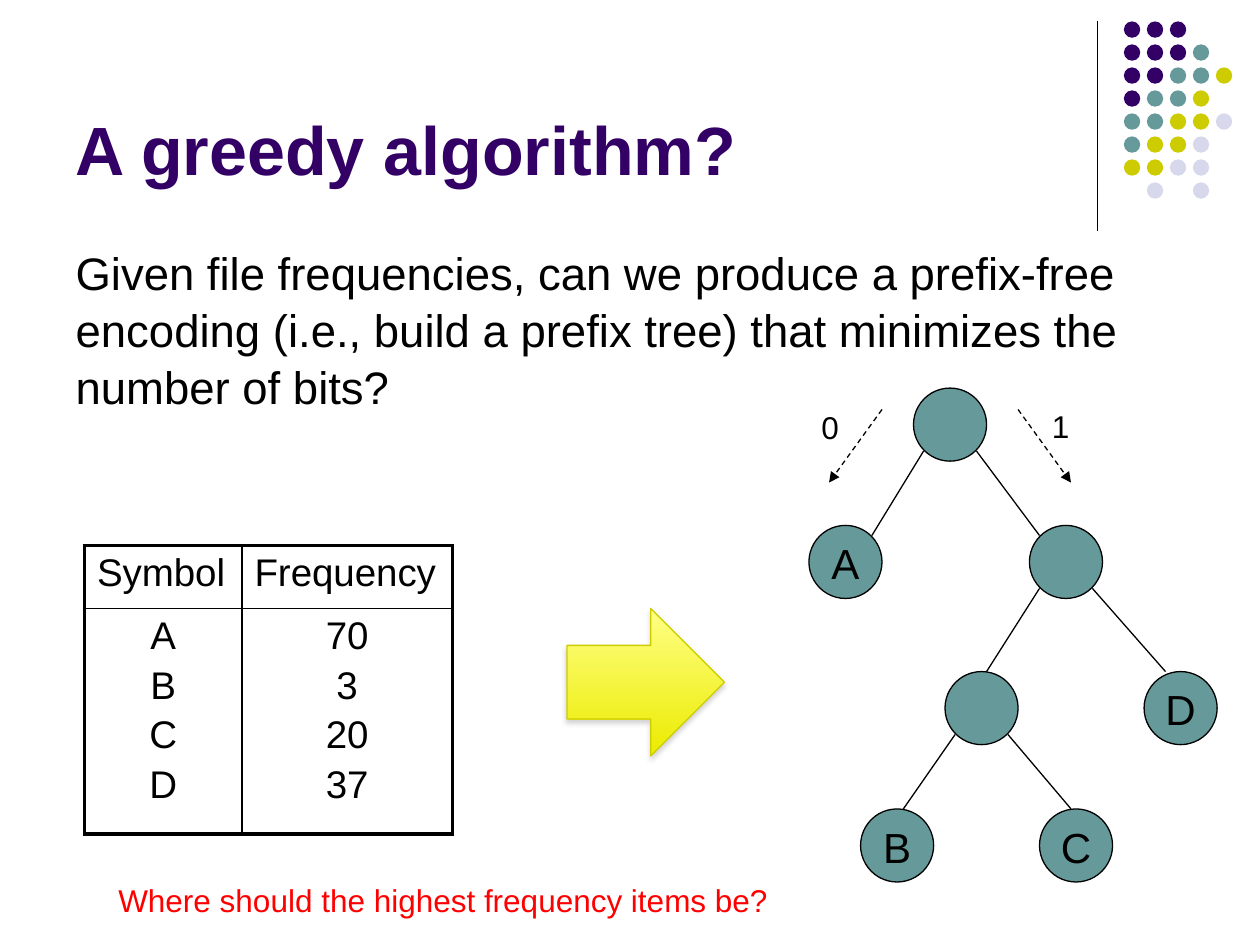
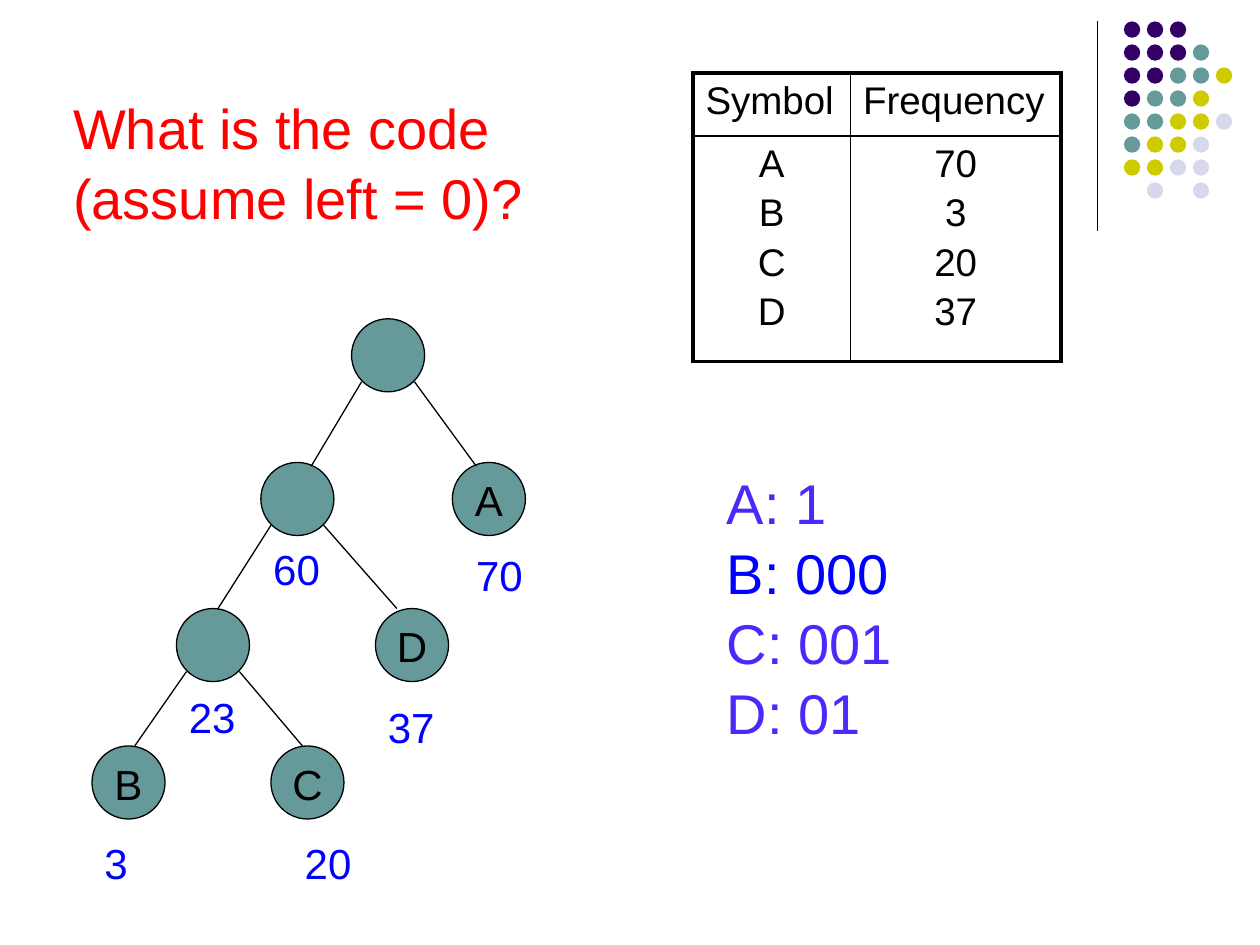
from dataclasses import dataclass

from lxml.etree import SubElement
from pptx import Presentation
from pptx.dml.color import RGBColor
from pptx.enum.dml import MSO_LINE
from pptx.enum.shapes import MSO_CONNECTOR, MSO_SHAPE
from pptx.enum.text import MSO_ANCHOR, MSO_AUTO_SIZE, PP_ALIGN
from pptx.oxml import parse_xml
from pptx.oxml.ns import nsdecls, qn
from pptx.util import Inches, Pt


@dataclass(frozen=True)
class Theme:
    font: str = "Arial"
    black: RGBColor = RGBColor.from_string("000000")
    purple: RGBColor = RGBColor.from_string("330066")
    teal: RGBColor = RGBColor.from_string("669999")
    olive: RGBColor = RGBColor.from_string("CCCC00")
    lavender: RGBColor = RGBColor.from_string("D8D8EC")
    red: RGBColor = RGBColor.from_string("FF0000")
    blue: RGBColor = RGBColor.from_string("0000FF")
    violet: RGBColor = RGBColor.from_string("4A2AFB")
    arrow_top: RGBColor = RGBColor.from_string("FFFF85")
    arrow_bottom: RGBColor = RGBColor.from_string("EBEB00")
    title_size: int = 39
    question_size: int = 32
    body_size: int = 26
    node_size: int = 24
    table_size: int = 22
    note_size: int = 18
    thin: float = 0.75
    spacing: float = 1.04


theme = Theme()


def write(frame, lines, size, color, bold=False, **paragraph_format):
    frame.word_wrap = True
    frame.text = "\n".join(lines)
    formats = {"alignment": PP_ALIGN.LEFT, "space_before": Pt(0),
               "line_spacing": theme.spacing, **paragraph_format}
    for paragraph in frame.paragraphs:
        for name, value in formats.items():
            setattr(paragraph, name, value)
        for run in paragraph.runs:
            font_format = {"name": theme.font, "size": Pt(size), "bold": bold}
            for name, value in font_format.items():
                setattr(run.font, name, value)
            run.font.color.rgb = color


def draw_line(slide, start, end):
    connector = slide.shapes.add_connector(
        MSO_CONNECTOR.STRAIGHT, *map(Inches, start + end))
    connector.line.color.rgb = theme.black
    connector.line.width = Pt(theme.thin)
    SubElement(connector.element.spPr, qn("a:effectLst"))
    return connector


presentation = Presentation()
presentation.slide_width = Inches(10)
presentation.slide_height = Inches(7.5)
greedy = presentation.slides.add_slide(presentation.slide_layouts[1])
code = presentation.slides.add_slide(presentation.slide_layouts[5])

dot_colors = {"P": theme.purple, "T": theme.teal, "Y": theme.olive, "L": theme.lavender}
dot_rows = ["PPP", "PPPT", "PPTTY", "PTTY", "TTYYL", "TYYL", "YYLL", " L L"]
dot_pitch = 0.73 / 4
decorations = [draw_line(greedy, (8.71, 0.17), (8.71, 1.83))]
for row, letters in enumerate(dot_rows):
    for column, letter in enumerate(letters):
        if letter in dot_colors:
            dot = greedy.shapes.add_shape(
                MSO_SHAPE.OVAL, Inches(8.92 + column * dot_pitch),
                Inches(0.17 + row * dot_pitch), Inches(0.13), Inches(0.13))
            dot.shadow.inherit = False
            dot.fill.solid()
            dot.fill.fore_color.rgb = dot_colors[letter]
            dot.line.fill.background()
            decorations.append(dot)
for number, decoration in enumerate(decorations, start=20):
    decoration.element.xpath(".//p:cNvPr")[0].set("id", str(number))
    presentation.slide_master.shapes.element.append(decoration.element)

placeholders = [
    (greedy.shapes.title, (0.5, 0.13, 8.25, 1.42), MSO_ANCHOR.BOTTOM,
     "A greedy algorithm?", theme.title_size, theme.purple, True),
    (greedy.placeholders[1], (0.5, 1.88, 9, 1.62), MSO_ANCHOR.TOP,
     "Given file frequencies, can we produce a prefix-free encoding "
     "(i.e., build a prefix tree) that minimizes the number of bits?",
     theme.body_size, theme.black, False),
    (code.shapes.title, (0.48, 0.67, 4.33, 1.18), MSO_ANCHOR.TOP,
     "What is the code (assume left = 0)?", theme.question_size, theme.red, False),
]
for placeholder, box, anchor, text, size, color, bold in placeholders:
    for name, value in zip(("left", "top", "width", "height"), box):
        setattr(placeholder, name, Inches(value))
    write(placeholder.text_frame, [text], size, color, bold)
    placeholder.text_frame.auto_size = MSO_AUTO_SIZE.NONE
    placeholder.text_frame.vertical_anchor = anchor
body_properties = greedy.placeholders[1].text_frame.paragraphs[0]._p.get_or_add_pPr()
body_properties.set("marL", "0")
body_properties.set("indent", "0")
SubElement(body_properties, qn("a:buNone"))

node_diameter = 0.58
trees = [
    (greedy,
     [(7.25, 3.08, ""), (6.42, 4.17, "A"), (8.17, 4.17, ""), (7.5, 5.33, ""),
      (6.83, 6.42, "B"), (8.25, 6.42, "C"), (9.08, 5.33, "D")],
     [(0, (6.92, 4.25)), (0, (8.25, 4.25)), (2, (7.83, 5.33)),
      (2, (9.25, 5.33)), (3, (7.17, 6.42)), (3, (8.5, 6.42))]),
    (code,
     [(2.79, 2.53, ""), (2.07, 3.67, ""), (3.59, 3.67, "A"), (1.4, 4.83, ""),
      (2.98, 4.83, "D"), (0.73, 5.92, "B"), (2.15, 5.92, "C")],
     [(0, (2.47, 3.7)), (0, (3.78, 3.7)), (1, (1.73, 4.83)),
      (1, (3.15, 4.83)), (3, (1.07, 5.92)), (3, (2.4, 5.92))]),
]
for slide, nodes, edges in trees:
    for left, top, label in nodes:
        node = slide.shapes.add_shape(
            MSO_SHAPE.OVAL, Inches(left), Inches(top),
            Inches(node_diameter), Inches(node_diameter))
        node.shadow.inherit = False
        node.fill.solid()
        node.fill.fore_color.rgb = theme.teal
        node.line.color.rgb = theme.black
        node.line.width = Pt(theme.thin)
        if label:
            for side in ("left", "top", "right", "bottom"):
                setattr(node.text_frame, f"margin_{side}", 0)
            node.text_frame.vertical_anchor = MSO_ANCHOR.MIDDLE
            write(node.text_frame, [label], theme.node_size, theme.black,
                  alignment=PP_ALIGN.CENTER)
    for parent, end in edges:
        left, top, label = nodes[parent]
        offset = 0.08 if end[0] < left + node_diameter / 2 else 0.5
        draw_line(slide, (left + offset, top + 0.5), end)

for start, end in [((7, 3.25), (6.58, 3.83)), ((8.08, 3.25), (8.5, 3.83))]:
    direction = draw_line(greedy, start, end)
    direction.line.dash_style = MSO_LINE.DASH
    outline = direction.element.spPr.find(qn("a:ln"))
    SubElement(outline, qn("a:tailEnd"), type="triangle")

symbols = ["A", "B", "C", "D"]
frequencies = ["70", "3", "20", "37"]
cells = [[["Symbol"], ["Frequency"]], [symbols, frequencies]]
for slide, left, top in [(greedy, 0.67, 4.33), (code, 5.5, 0.58)]:
    table = slide.shapes.add_table(
        2, 2, Inches(left), Inches(top), Inches(2.92), Inches(2.29)).table
    table.first_row = False
    table.horz_banding = False
    for column, width in zip(table.columns, (1.25, 1.67)):
        column.width = Inches(width)
    for row, height in zip(table.rows, (0.5, 1.79)):
        row.height = Inches(height)
    for row, row_cells in enumerate(cells):
        for column, lines in enumerate(row_cells):
            cell = table.cell(row, column)
            cell.fill.background()
            write(cell.text_frame, lines, theme.table_size, theme.black,
                  alignment=PP_ALIGN.CENTER if row else PP_ALIGN.LEFT,
                  space_before=Pt(3.7), line_spacing=1.0)
            outer_edges = {"L": column == 0, "R": column == 1,
                           "T": row == 0, "B": row == 1}
            for index, (edge, is_outer) in enumerate(outer_edges.items()):
                width = Pt(2.25 if is_outer else 1)
                border = parse_xml(
                    f'<a:ln{edge} {nsdecls("a")} w="{width}"><a:solidFill>'
                    f'<a:srgbClr val="{theme.black}"/></a:solidFill></a:ln{edge}>')
                cell._tc.get_or_add_tcPr().insert(index, border)

arrow = greedy.shapes.add_shape(
    MSO_SHAPE.RIGHT_ARROW, Inches(4.5), Inches(4.83), Inches(1.25), Inches(1.17))
arrow.fill.gradient()
arrow.fill.gradient_angle = 270
for stop, position, color in zip(arrow.fill.gradient_stops, (0, 1),
                                 (theme.arrow_top, theme.arrow_bottom)):
    stop.position = position
    stop.color.rgb = color
arrow.line.color.rgb = theme.olive
arrow.line.width = Pt(theme.thin)
arrow.element.spPr.append(parse_xml(
    f'<a:effectLst {nsdecls("a")}><a:outerShdw blurRad="{Pt(3.1)}" dist="{Pt(1.8)}" '
    'dir="5400000" rotWithShape="0"><a:srgbClr val="808080"><a:alpha val="35000"/>'
    '</a:srgbClr></a:outerShdw></a:effectLst>'))

weights = [("3", 0.73, 6.58), ("20", 2.32, 6.58), ("23", 1.4, 5.42),
           ("37", 2.98, 5.5), ("60", 2.07, 4.25), ("70", 3.68, 4.3)]
codes = ["A: 1", "B: 000", "C: 001", "D: 01"]
text_boxes = [
    (greedy, (6.42, 3.18, 0.42, 0.4), ["0"], theme.note_size, theme.black),
    (greedy, (8.25, 3.17, 0.42, 0.4), ["1"], theme.note_size, theme.black),
    (greedy, (0.84, 6.93, 5.41, 0.4), ["Where should the highest frequency items be?"],
     theme.note_size, theme.red),
    *[(code, (left, top, 0.83, 0.5), [weight], theme.node_size, theme.blue)
      for weight, left, top in weights],
    (code, (5.67, 3.65, 4.33, 2.26), codes, theme.question_size, theme.violet),
]
for slide, box, lines, size, color in text_boxes:
    text_box = slide.shapes.add_textbox(*map(Inches, box))
    write(text_box.text_frame, lines, size, color)
    if lines is codes:
        text_box.text_frame.paragraphs[1].runs[0].font.color.rgb = theme.blue

presentation.save("out.pptx")
